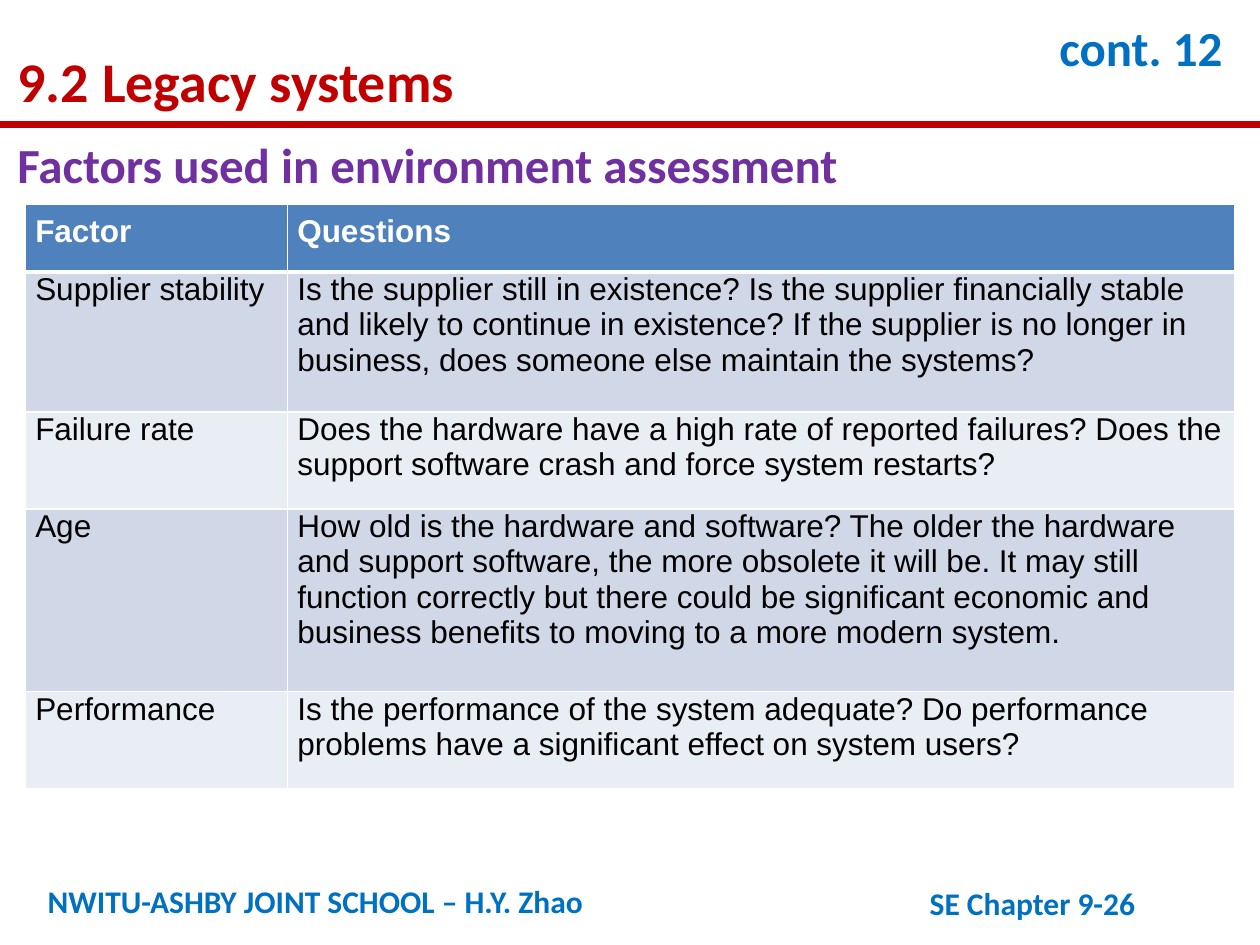
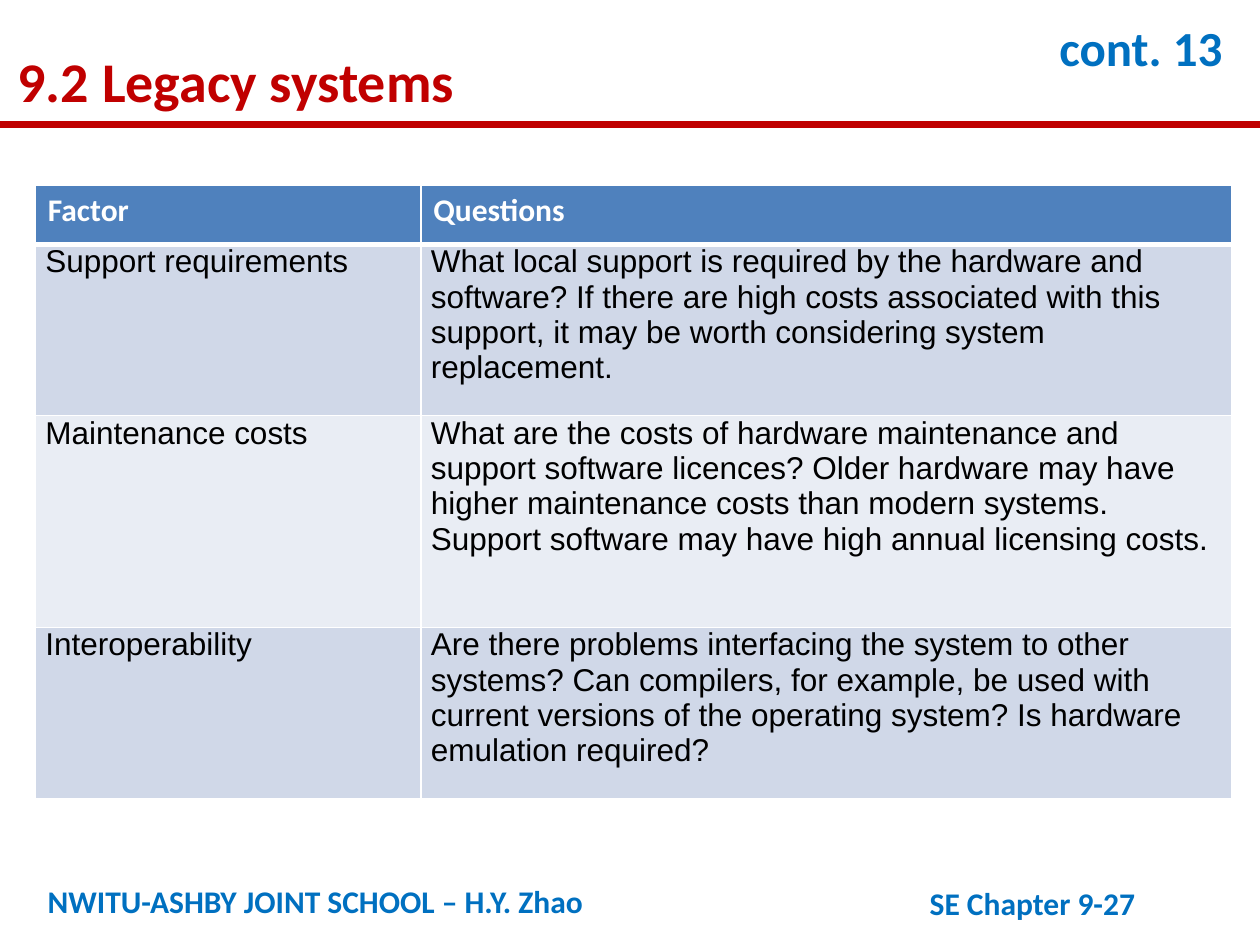
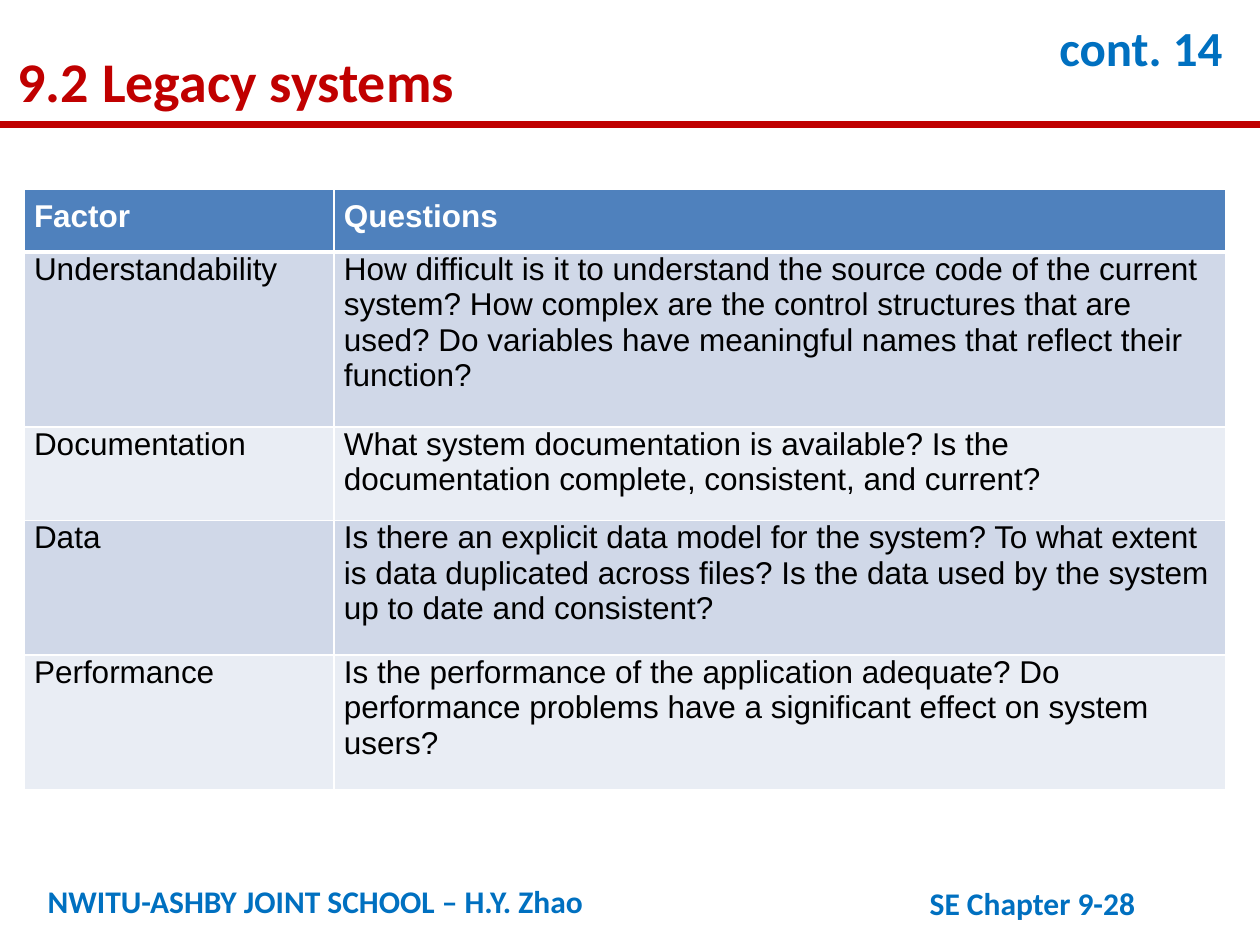
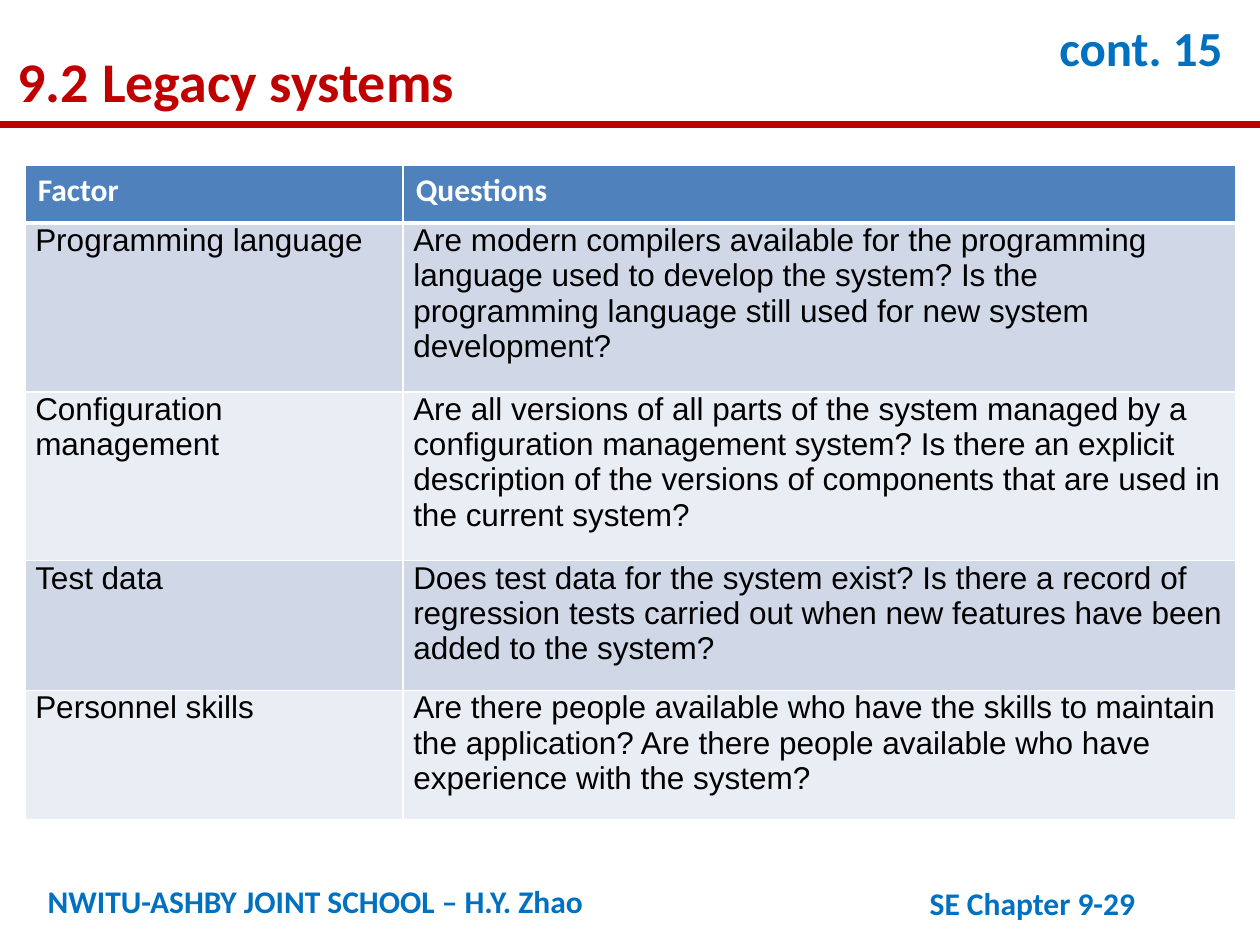
from dataclasses import dataclass

from lxml.etree import SubElement
from pptx import Presentation
from pptx.dml.color import RGBColor
from pptx.enum.shapes import MSO_CONNECTOR as Connector
from pptx.enum.text import MSO_ANCHOR as Anchor
from pptx.enum.text import MSO_AUTO_SIZE as AutoSize
from pptx.enum.text import PP_ALIGN as Align
from pptx.oxml import parse_xml
from pptx.oxml.ns import nsdecls, qn
from pptx.util import Pt

EMU_PER_PX = 9144
TITLE_ONLY = 5


@dataclass(frozen=True)
class Theme:
    """Colours, fonts and type sizes of the deck."""

    red: str = "C00000"
    blue: str = "0070C0"
    purple: str = "7030A0"
    black: str = "000000"
    white: str = "FFFFFF"
    header: str = "4F81BD"
    bands: tuple = ("D0D8E8", "E9EDF4")
    heading_font: str = "Calibri"
    body_font: str = "Arial"
    title_size: int = 32
    heading_size: int = 28
    text_size: int = 18
    rule_width: int = 4
    border_width: int = 1
    header_border_width: int = 3


THEME = Theme()


@dataclass(frozen=True)
class FactorTable:
    """Place, grid and wording of one table of factors."""

    origin: tuple
    columns: tuple
    rows: tuple
    header_font: str
    header_margins: tuple
    factors: tuple
    heading: str = ""


PLAIN_HEADER = {"header_font": THEME.heading_font, "header_margins": (10, 5, 10, 5)}
BODY_HEADER = {"header_font": THEME.body_font, "header_margins": (8, 8, 8, 8)}
BODY_MARGINS = (8, 0, 8, 8)

TABLES = (
    FactorTable(
        origin=(20, 162),
        columns=(208, 752),
        rows=(54, 111, 77, 145, 77),
        heading="Factors used in environment assessment",
        factors=(
            ("Supplier stability",
             "Is the supplier still in existence? Is the supplier financially stable "
             "and likely to continue in existence? If the supplier is no longer in "
             "business, does someone else maintain the systems?"),
            ("Failure rate",
             "Does the hardware have a high rate of reported failures? Does the "
             "support software crash and force system restarts?"),
            ("Age",
             "How old is the hardware and software? The older the hardware and support "
             "software, the more obsolete it will be. It may still function correctly "
             "but there could be significant economic and business benefits to moving "
             "to a more modern system."),
            ("Performance",
             "Is the performance of the system adequate? Do performance problems have "
             "a significant effect on system users?"),
        ),
        **BODY_HEADER,
    ),
    FactorTable(
        origin=(28, 147),
        columns=(306, 644),
        rows=(47, 136, 168, 136),
        factors=(
            ("Support requirements",
             "What local support is required by the hardware and software? If there "
             "are high costs associated with this support, it may be worth considering "
             "system replacement."),
            ("Maintenance costs",
             "What are the costs of hardware maintenance and support software "
             "licences? Older hardware may have higher maintenance costs than modern "
             "systems. Support software may have high annual licensing costs."),
            ("Interoperability",
             "Are there problems interfacing the system to other systems? Can "
             "compilers, for example, be used with current versions of the operating "
             "system? Is hardware emulation required?"),
        ),
        **PLAIN_HEADER,
    ),
    FactorTable(
        origin=(19, 150),
        columns=(246, 708),
        rows=(50, 139, 74, 107, 107),
        factors=(
            ("Understandability",
             "How difficult is it to understand the source code of the current system? "
             "How complex are the control structures that are used? Do variables have "
             "meaningful names that reflect their function?"),
            ("Documentation",
             "What system documentation is available? Is the documentation complete, "
             "consistent, and current?"),
            ("Data",
             "Is there an explicit data model for the system? To what extent is data "
             "duplicated across files? Is the data used by the system up to date and "
             "consistent?"),
            ("Performance",
             "Is the performance of the application adequate? Do performance problems "
             "have a significant effect on system users?"),
        ),
        **BODY_HEADER,
    ),
    FactorTable(
        origin=(20, 131),
        columns=(300, 661),
        rows=(46, 134, 134, 103, 103),
        factors=(
            ("Programming language",
             "Are modern compilers available for the programming language used to "
             "develop the system? Is the programming language still used for new "
             "system development?"),
            ("Configuration management",
             "Are all versions of all parts of the system managed by a configuration "
             "management system? Is there an explicit description of the versions of "
             "components that are used in the current system?"),
            ("Test data",
             "Does test data for the system exist? Is there a record of regression "
             "tests carried out when new features have been added to the system?"),
            ("Personnel skills",
             "Are there people available who have the skills to maintain the "
             "application? Are there people available who have experience with the "
             "system?"),
        ),
        **PLAIN_HEADER,
    ),
)


def px(length):
    """Turn px into EMU."""
    return length * EMU_PER_PX


def add_span(para, text, size, color, font=THEME.heading_font, bold=True):
    """Add one formatted run to a paragraph."""
    span = para.add_run()
    span.text = text
    span.font.size = Pt(size)
    span.font.name = font
    span.font.bold = bold
    span.font.color.rgb = RGBColor.from_string(color)


def add_text(page, box, text, size, color, wrap=True):
    """Add a text box with one line of text and return its paragraph."""
    frame = page.shapes.add_textbox(*map(px, box)).text_frame
    frame.word_wrap = wrap
    para = frame.paragraphs[0]
    add_span(para, text, size, color)
    return para


def add_title(page, box, text):
    """Move the title placeholder into the box and format it."""
    title = page.shapes.title
    title.left, title.top, title.width, title.height = map(px, box)
    frame = title.text_frame
    frame.auto_size = AutoSize.NONE
    frame.vertical_anchor = Anchor.TOP
    para = frame.paragraphs[0]
    para.alignment = Align.LEFT
    para.line_spacing = 1.2
    add_span(para, text, THEME.title_size, THEME.red)


def add_rule(page, left, top, width):
    """Draw the horizontal rule below the title."""
    ends = map(px, (left, top, left + width, top))
    rule = page.shapes.add_connector(Connector.STRAIGHT, *ends)
    rule.line.color.rgb = RGBColor.from_string(THEME.red)
    rule.line.width = Pt(THEME.rule_width)
    SubElement(rule._element.spPr, qn("a:effectLst"))


def add_frame(page, part, number):
    """Add the title, rule, part counter and footers of a page."""
    add_rule(page, 0, 99, 1000)
    add_title(page, (4, 21, 756, 70), "9.2 Legacy systems")
    counter = add_text(page, (831, 21, 157, 47), f"cont. {part}",
                       THEME.heading_size, THEME.blue)
    counter.line_spacing = Pt(25)
    add_text(page, (28, 695, 631, 40), "NWITU-ASHBY JOINT SCHOOL – H.Y. Zhao",
             THEME.text_size, THEME.blue)
    add_text(page, (728, 697, 261, 40), f"SE Chapter 9-{number}",
             THEME.text_size, THEME.blue)


def set_borders(cell, top, bottom):
    """Give a cell white borders of the given top and bottom widths."""
    sides = {"L": THEME.border_width, "R": THEME.border_width, "T": top, "B": bottom}
    properties = cell._tc.get_or_add_tcPr()
    for index, (side, width) in enumerate(sides.items()):
        properties.insert(index, parse_xml(
            f'<a:ln{side} {nsdecls("a")} w="{Pt(width)}"><a:solidFill>'
            f'<a:srgbClr val="{THEME.white}"/></a:solidFill></a:ln{side}>'))


def fill_cell(cell, text, fill, color, font, bold, margins):
    """Write and format one table cell."""
    cell.fill.solid()
    cell.fill.fore_color.rgb = RGBColor.from_string(fill)
    (cell.margin_left, cell.margin_top,
     cell.margin_right, cell.margin_bottom) = map(px, margins)
    para = cell.text_frame.paragraphs[0]
    if font == THEME.body_font:
        para.space_after = Pt(6)
    add_span(para, text, THEME.text_size, color, font, bold)


def add_factor_table(page, content):
    """Add a table of factors and questions at its origin."""
    box = (*content.origin, sum(content.columns), sum(content.rows))
    table = page.shapes.add_table(
        len(content.rows), len(content.columns), *map(px, box)).table
    for column, width in zip(table.columns, content.columns):
        column.width = px(width)
    for row, height in zip(table.rows, content.rows):
        row.height = px(height)
    thin, thick = THEME.border_width, THEME.header_border_width
    for index, texts in enumerate((("Factor", "Questions"), *content.factors)):
        if index == 0:
            style = (THEME.header, THEME.white, content.header_font, True,
                     content.header_margins)
        else:
            style = (THEME.bands[(index - 1) % 2], THEME.black, THEME.body_font,
                     False, BODY_MARGINS)
        for cell, text in zip(table.rows[index].cells, texts):
            fill_cell(cell, text, *style)
            set_borders(cell, thick if index == 1 else thin,
                        thick if index == 0 else thin)


def add_factor_page(deck, content, part, number):
    """Build one page with its frame, table and optional heading."""
    page = deck.slides.add_slide(deck.slide_layouts[TITLE_ONLY])
    add_frame(page, part, number)
    add_factor_table(page, content)
    if content.heading:
        add_text(page, (4, 102, 687, 57), content.heading,
                 THEME.heading_size, THEME.purple, wrap=False)


def main():
    """Build the deck and save it."""
    deck = Presentation()
    deck.slide_width, deck.slide_height = px(1000), px(750)
    for index, content in enumerate(TABLES):
        add_factor_page(deck, content, part=12 + index, number=26 + index)
    deck.save("out.pptx")


if __name__ == "__main__":
    main()
